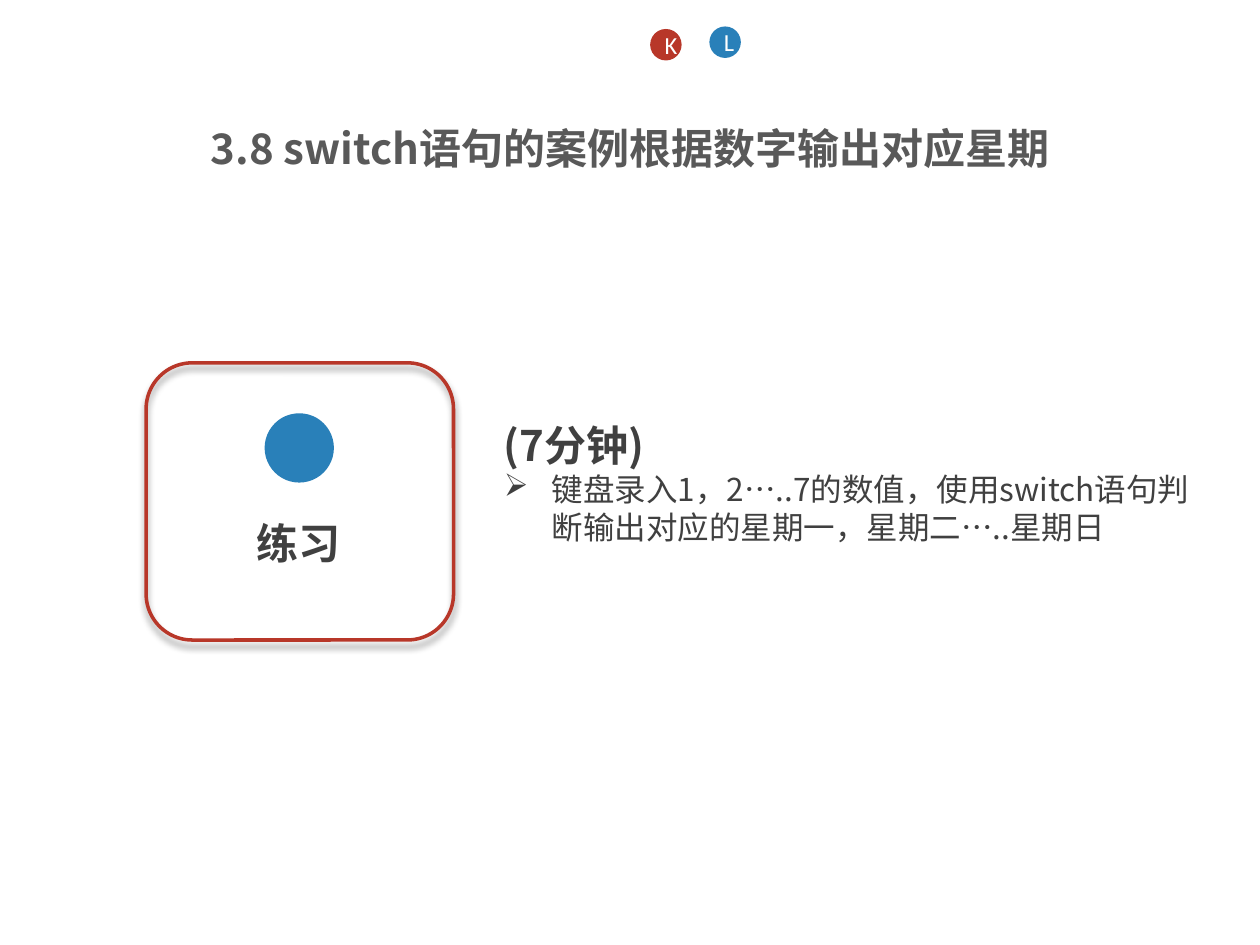
"""Build the slide for the switch statement exercise."""
import lxml.etree
import pptx
import pptx.dml.color
import pptx.enum.shapes
import pptx.enum.text
import pptx.oxml.ns
import pptx.util

Inches = pptx.util.Inches
Pt = pptx.util.Pt
RGBColor = pptx.dml.color.RGBColor
Shapes = pptx.enum.shapes.MSO_SHAPE
Align = pptx.enum.text.PP_ALIGN
qn = pptx.oxml.ns.qn

RED = RGBColor(0xB8, 0x37, 0x29)
BLUE = RGBColor(0x29, 0x80, 0xB9)
WHITE = RGBColor(0xFF, 0xFF, 0xFF)
DARK = RGBColor(0x40, 0x40, 0x40)
GRAY = RGBColor(0x59, 0x59, 0x59)
CHINESE_FONT = "Noto Sans CJK SC"

TITLE = "3.8 switch语句的案例根据数字输出对应星期"
DURATION = "(7分钟)"
TASK = "键盘录入1，2…..7的数值，使用switch语句判断输出对应的星期一，星期二…..星期日"
CARD_LABEL = "练习"
BADGES = [("K", 5.16, 0.23, RED), ("L", 5.63, 0.21, BLUE)]
BADGE_SIZE = 0.25
PENCIL_CONTOURS = [
    [(2.47, 3.4), (2.45, 3.38), (2.42, 3.37), (2.39, 3.38), (2.37, 3.39), (2.33, 3.45),
     (2.24, 3.58), (2.23, 3.6), (2.21, 3.7), (2.2, 3.72), (2.21, 3.75), (2.24, 3.76),
     (2.25, 3.76), (2.32, 3.73), (2.34, 3.72), (2.48, 3.53), (2.49, 3.47)],
    [(2.46, 3.51), (2.45, 3.53), (2.45, 3.49), (2.43, 3.46), (2.41, 3.44), (2.37, 3.43),
     (2.39, 3.41), (2.42, 3.4), (2.44, 3.4), (2.46, 3.42), (2.48, 3.47)],
    [(2.28, 3.72), (2.27, 3.67), (2.24, 3.65), (2.24, 3.61), (2.25, 3.6), (2.28, 3.59),
     (2.31, 3.61), (2.33, 3.66), (2.32, 3.7), (2.32, 3.71)],
    [(2.24, 3.73), (2.22, 3.72), (2.22, 3.71), (2.23, 3.66), (2.26, 3.68), (2.28, 3.72)],
    [(2.3, 3.57), (2.27, 3.56), (2.34, 3.47), (2.36, 3.46), (2.38, 3.46)],
    [(2.34, 3.62), (2.33, 3.6), (2.31, 3.58), (2.39, 3.46), (2.41, 3.48), (2.42, 3.5)],
    [(2.35, 3.66), (2.34, 3.63), (2.43, 3.51), (2.43, 3.54), (2.42, 3.57), (2.35, 3.67)],
]


def style_paragraph(paragraph, text, size, color, bold=False, font_name=CHINESE_FONT):
    paragraph.text = text
    font = paragraph.font
    font.name, font.size, font.bold = font_name, Pt(size), bold
    font.color.rgb = color
    properties = paragraph._p.get_or_add_pPr().find(qn("a:defRPr"))
    lxml.etree.SubElement(properties, qn("a:ea"), typeface=font_name)


def add_text_box(shapes, left, top, width, height):
    box = shapes.add_textbox(Inches(left), Inches(top), Inches(width), Inches(height))
    box.text_frame.word_wrap = True
    return box.text_frame


def add_circle(shapes, left, top, size, color):
    circle = shapes.add_shape(Shapes.OVAL, Inches(left), Inches(top), Inches(size), Inches(size))
    circle.shadow.inherit = False
    circle.fill.solid()
    circle.fill.fore_color.rgb = color
    circle.line.fill.background()
    return circle


def add_bullet(paragraph, character, indent):
    properties = paragraph._p.get_or_add_pPr()
    properties.set("marL", str(Inches(indent)))
    properties.set("indent", str(-Inches(indent)))
    bullet = lxml.etree.Element(qn("a:buChar"), char=character)
    properties.find(qn("a:defRPr")).addprevious(bullet)


def add_pencil(shapes):
    builder = None
    for start, *rest in PENCIL_CONTOURS:
        if builder is None:
            builder = shapes.build_freeform(*start, scale=Inches(1))
        else:
            builder.move_to(*start)
        builder.add_line_segments(rest, close=True)
    pencil = builder.convert_to_shape()
    pencil.shadow.inherit = False
    pencil.fill.solid()
    pencil.fill.fore_color.rgb = WHITE
    pencil.line.fill.background()


def add_frame(shapes):
    frame = shapes.add_shape(
        Shapes.ROUNDED_RECTANGLE, Inches(1.16), Inches(2.88), Inches(2.44), Inches(2.2))
    frame.fill.background()
    frame.line.color.rgb = RED
    frame.line.width = Pt(2)
    frame.shadow.inherit = False
    effects = frame._element.spPr.find(qn("a:effectLst"))
    shadow = lxml.etree.SubElement(
        effects, qn("a:outerShdw"), blurRad=str(Pt(4)), dist=str(Pt(3)),
        dir="5400000", algn="t", rotWithShape="0")
    color = lxml.etree.SubElement(shadow, qn("a:srgbClr"), val="000000")
    lxml.etree.SubElement(color, qn("a:alpha"), val="40000")


def add_exercise_card(slide):
    shapes = slide.shapes.add_group_shape().shapes
    label = add_text_box(shapes, 1.94, 4.1, 0.87, 0.45).paragraphs[0]
    style_paragraph(label, CARD_LABEL, 24, DARK, bold=True)
    label.line_spacing = 0.9
    label.space_before = label.space_after = Pt(4.8)
    add_circle(shapes, 2.1, 3.28, 0.55, BLUE)
    add_pencil(shapes)
    add_frame(shapes)


def main():
    presentation = pptx.Presentation()
    presentation.slide_width, presentation.slide_height = Inches(10), Inches(7.5)
    slide = presentation.slides.add_slide(presentation.slide_layouts[6])

    task_frame = add_text_box(slide.shapes, 3.9, 3.28, 5.74, 1.11)
    task_frame.auto_size = pptx.enum.text.MSO_AUTO_SIZE.SHAPE_TO_FIT_TEXT
    style_paragraph(task_frame.paragraphs[0], DURATION, 24, DARK, bold=True)
    task = task_frame.add_paragraph()
    style_paragraph(task, TASK, 18, DARK)
    add_bullet(task, "➢", 0.38)

    add_exercise_card(slide)

    for letter, left, top, color in BADGES:
        badge = add_circle(slide.shapes, left, top, BADGE_SIZE, color)
        badge.text_frame.vertical_anchor = pptx.enum.text.MSO_ANCHOR.MIDDLE
        paragraph = badge.text_frame.paragraphs[0]
        style_paragraph(paragraph, letter, 14, WHITE, font_name="Calibri")
        paragraph.alignment = Align.CENTER

    title = add_text_box(slide.shapes, 0, 0.92, 10, 0.47).paragraphs[0]
    style_paragraph(title, TITLE, 24, GRAY, bold=True)
    title.alignment = Align.CENTER

    presentation.save("out.pptx")


if __name__ == "__main__":
    main()
